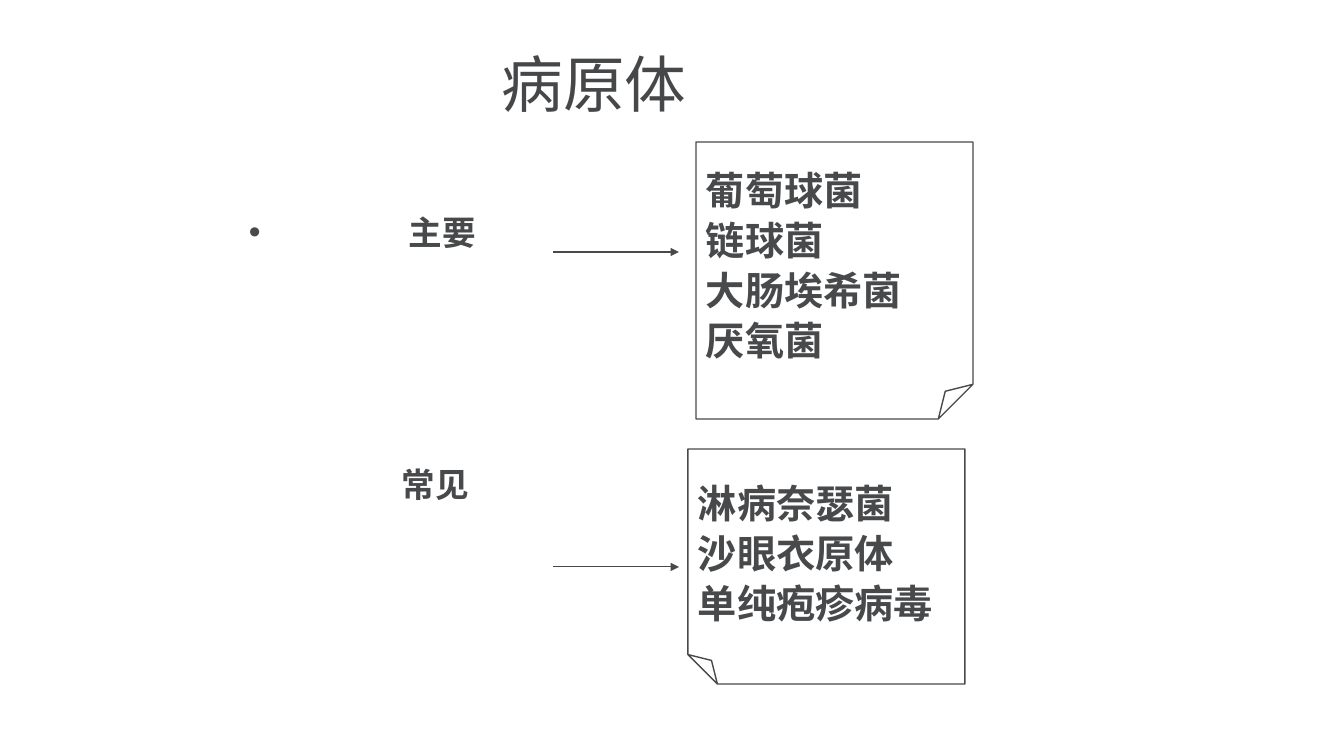
from lxml import etree
from pptx import Presentation
from pptx.dml.color import RGBColor
from pptx.enum.shapes import MSO_CONNECTOR as Connector, MSO_SHAPE as Shape
from pptx.enum.text import MSO_ANCHOR as Anchor, PP_ALIGN as Align
from pptx.oxml.ns import qn
from pptx.util import Emu, Pt

INK = RGBColor(0x47, 0x49, 0x4B)
TITLE_INK = RGBColor(0x45, 0x47, 0x49)
FONT = "Arial"
EMU_PER_PX = 914400 / 100.8

TITLE = ("病原体", (334, 31, 520, 103))
GROUPS = [
    {"label": "主要", "label_at": (249, 208, 240, 48), "hanging": 160,
     "arrow_y": 252, "note_at": (696, 142, 277, 277), "mirrored": False,
     "germs": ["葡萄球菌", "链球菌", "大肠埃希菌", "厌氧菌"]},
    {"label": "常见", "label_at": (402, 460, 90, 48), "hanging": 0,
     "arrow_y": 567, "note_at": (688, 449, 277, 235), "mirrored": True,
     "germs": ["淋病奈瑟菌", "沙眼衣原体", "单纯疱疹病毒"]},
]
ARROW_LEFT, ARROW_RIGHT = 553, 679
NOTE_PAD = 10


def px(length):
    return Emu(round(length * EMU_PER_PX))


def write(box, lines, size, bold=True, color=INK, align=Align.LEFT,
          pad=0, spacing=None):
    frame = box.text_frame
    frame.word_wrap = True
    frame.vertical_anchor = Anchor.MIDDLE
    frame.margin_left = frame.margin_right = px(pad)
    frame.margin_top = frame.margin_bottom = 0
    for index, line in enumerate(lines):
        para = frame.add_paragraph() if index else frame.paragraphs[0]
        para.alignment = align
        if spacing:
            para.line_spacing = Pt(spacing)
        span = para.add_run()
        span.text = line
        span.font.name = FONT
        span.font.size = Pt(size)
        span.font.bold = bold
        span.font.color.rgb = color


def add_bullet(para, hanging):
    props = para._p.get_or_add_pPr()
    props.set("marL", str(px(hanging)))
    props.set("indent", str(-px(hanging)))
    etree.SubElement(props, qn("a:buFont")).set("typeface", FONT)
    etree.SubElement(props, qn("a:buChar")).set("char", "•")


def add_note(page, place, germs, mirrored):
    note = page.shapes.add_shape(Shape.FOLDED_CORNER, *map(px, place))
    note.shadow.inherit = False
    note.fill.background()
    note.line.color.rgb = INK
    note.line.width = Pt(1)
    props = note.element.spPr
    fold = etree.SubElement(props.find(qn("a:prstGeom")).find(qn("a:avLst")), qn("a:gd"))
    fold.set("name", "adj")
    fold.set("fmla", "val 12500")
    if mirrored:
        props.find(qn("a:xfrm")).set("flipH", "1")
    write(note, germs, 28, pad=NOTE_PAD, spacing=35.7)


def add_arrow(page, y):
    arrow = page.shapes.add_connector(
        Connector.STRAIGHT, px(ARROW_LEFT), px(y), px(ARROW_RIGHT), px(y))
    arrow.line.color.rgb = INK
    arrow.line.width = Pt(0.75)
    outline = arrow.element.spPr.find(qn("a:ln"))
    etree.SubElement(outline, qn("a:tailEnd")).set("type", "triangle")
    etree.SubElement(arrow.element.spPr, qn("a:effectLst"))


def main():
    deck = Presentation()
    deck.slide_width, deck.slide_height = px(1344), px(756)
    page = deck.slides.add_slide(deck.slide_layouts[6])

    heading, place = TITLE
    title = page.shapes.add_textbox(*map(px, place))
    write(title, [heading], 44, bold=False, color=TITLE_INK, align=Align.CENTER)

    for group in GROUPS:
        label = page.shapes.add_textbox(*map(px, group["label_at"]))
        write(label, [group["label"]], 24)
        if group["hanging"]:
            add_bullet(label.text_frame.paragraphs[0], group["hanging"])
        add_note(page, group["note_at"], group["germs"], group["mirrored"])
        add_arrow(page, group["arrow_y"])

    deck.save("out.pptx")


if __name__ == "__main__":
    main()
